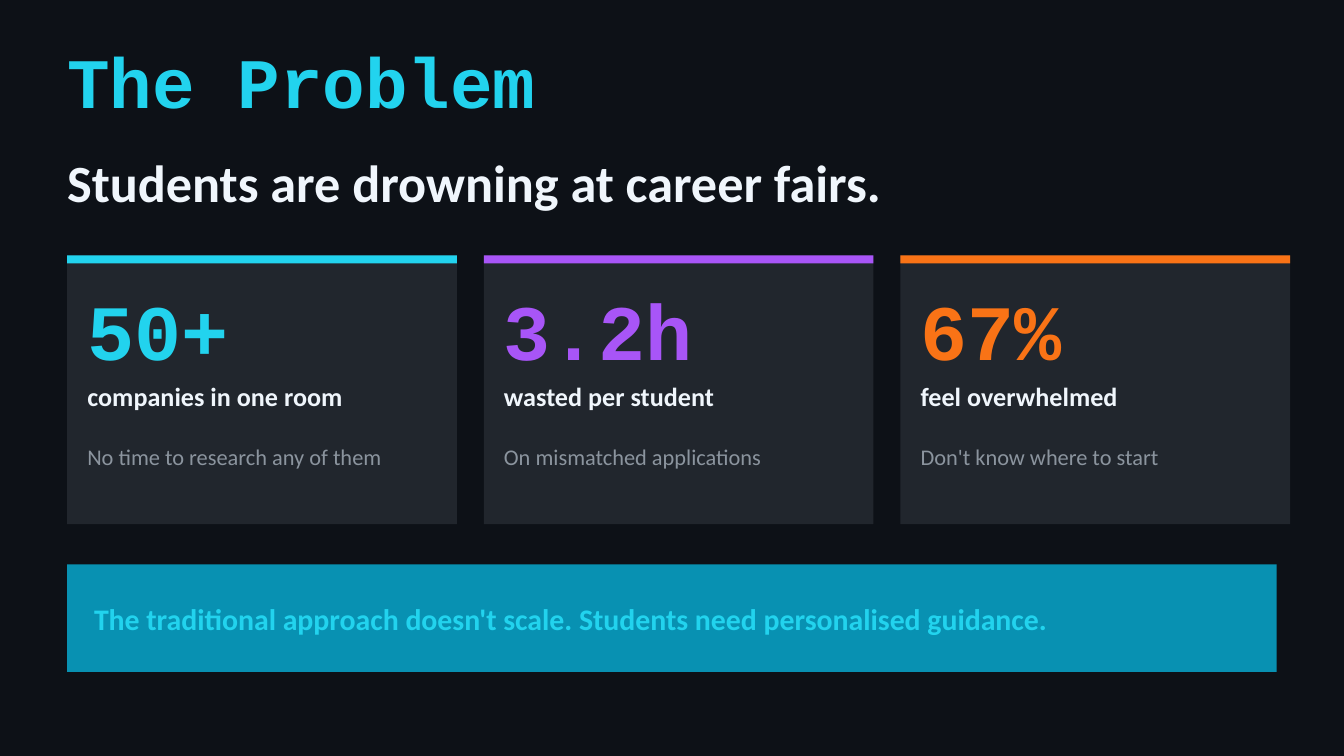
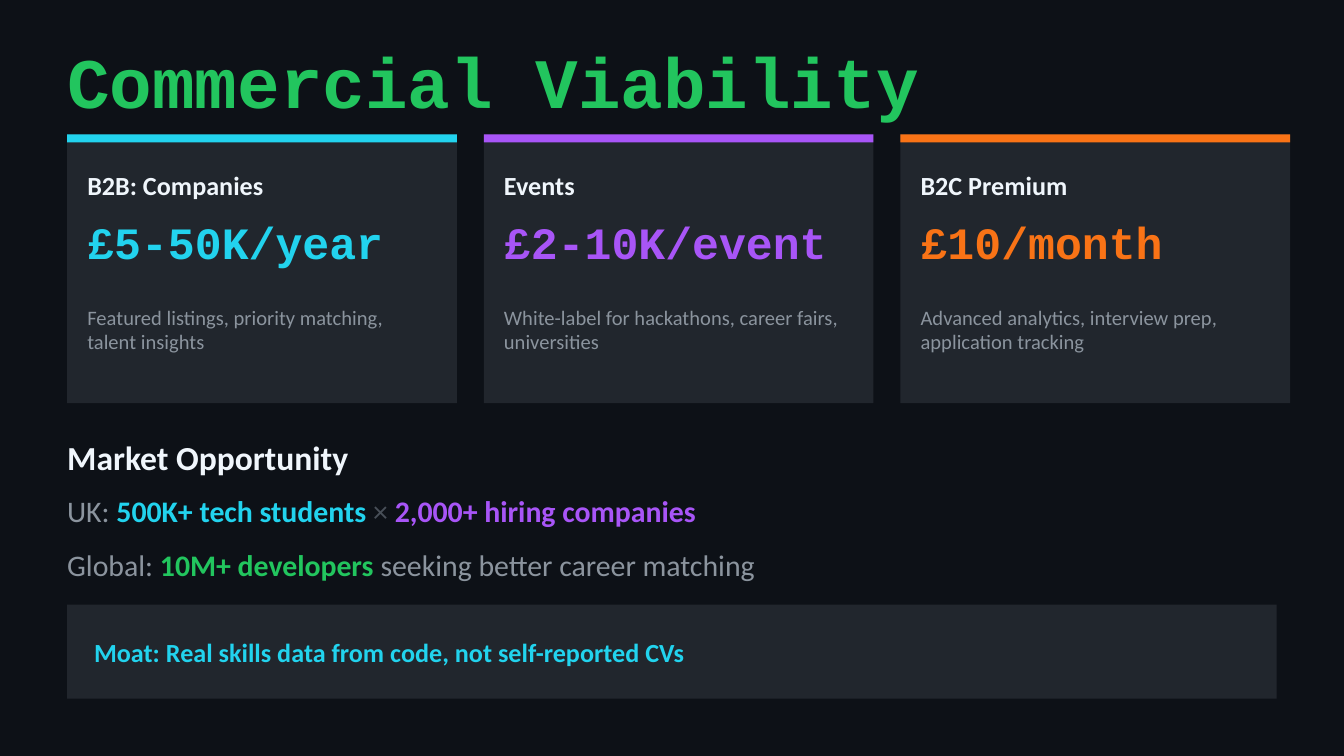
from pptx import Presentation
from pptx.dml.color import RGBColor
from pptx.enum import shapes, text
from pptx.util import Pt

# Shared look
BG, PANEL, TEAL = "0D1117", "21262D", "0891B2"
WHITE, GREY, DIM = "F0F6FC", "8B949E", "484F58"
CYAN, PURPLE, ORANGE, GREEN = "22D3EE", "A855F7", "F97316", "22C55E"
SANS, MONO = "Calibri", "Courier New"

# Shared grid, in points
LEFT, WIDTH = 36, 648
CARD_W, CARD_H, CARD_STEP = 208.8, 144, 223.2
CARD_PAD, STRIPE_H = 10.8, 4.32
BANNER_PAD, BANNER_TEXT_H = 14.4, 36


def rgb(color):
    return RGBColor.from_string(color)


def add_slide(prs):
    s = prs.slides.add_slide(prs.slide_layouts[6])
    s.background.fill.solid()
    s.background.fill.fore_color.rgb = rgb(BG)
    return s


def add_rect(s, x, y, w, h, color):
    sp = s.shapes.add_shape(shapes.MSO_SHAPE.RECTANGLE, Pt(x), Pt(y), Pt(w), Pt(h))
    sp.shadow.inherit = False
    sp.fill.solid()
    sp.fill.fore_color.rgb = rgb(color)
    sp.line.fill.background()


def add_run(p, words, size, color=WHITE, bold=False, font=SANS):
    r = p.add_run()
    r.text = words
    r.font.size = Pt(size)
    r.font.name = font
    r.font.bold = bold
    r.font.color.rgb = rgb(color)


def add_text(s, content, x, y, w, h, **fmt):
    """Content is a string, or a list of (words, format overrides)."""
    tf = s.shapes.add_textbox(Pt(x), Pt(y), Pt(w), Pt(h)).text_frame
    tf.word_wrap = True
    tf.vertical_anchor = text.MSO_ANCHOR.MIDDLE
    tf.margin_left = tf.margin_right = tf.margin_top = tf.margin_bottom = 0
    runs = [(content, {})] if isinstance(content, str) else content
    for words, extra in runs:
        add_run(tf.paragraphs[0], words, **{**fmt, **extra})


def add_title(s, words, color):
    add_text(s, words, LEFT, 21.6, WIDTH, 43.2, size=38, color=color, bold=True, font=MONO)


def add_cards(s, top, rows, cards):
    """Each row is (offset from card top, height, format); colour None means accent."""
    for i, (accent, lines) in enumerate(zip((CYAN, PURPLE, ORANGE), cards)):
        x = LEFT + i * CARD_STEP
        add_rect(s, x, top, CARD_W, CARD_H, PANEL)
        add_rect(s, x, top, CARD_W, STRIPE_H, accent)
        for line, (offset, height, fmt) in zip(lines, rows):
            add_text(s, line, x + CARD_PAD, top + offset, CARD_W - 2 * CARD_PAD, height,
                     **{**fmt, "color": fmt["color"] or accent})


def add_banner(s, words, top, height, fill, size):
    add_rect(s, LEFT, top, WIDTH, height, fill)
    add_text(s, words, LEFT + BANNER_PAD, top + (height - BANNER_TEXT_H) / 2,
             WIDTH - 2 * BANNER_PAD, BANNER_TEXT_H, size=size, color=CYAN, bold=True)


def figure(size):
    return dict(size=size, color=None, bold=True, font=MONO)


def main():
    prs = Presentation()
    prs.slide_width, prs.slide_height = Pt(720), Pt(405)
    label = dict(size=14, color=WHITE, bold=True)

    # The Problem
    s = add_slide(prs)
    add_title(s, "The Problem", CYAN)
    add_text(s, "Students are drowning at career fairs.", LEFT, 72, WIDTH, 50.4,
             size=28, bold=True)
    add_cards(s, 136.8, [
        (14.4, 50.4, figure(42)),
        (61.2, 28.8, label),
        (90, 36, dict(size=12, color=GREY)),
    ], [
        ("50+", "companies in one room", "No time to research any of them"),
        ("3.2h", "wasted per student", "On mismatched applications"),
        ("67%", "feel overwhelmed", "Don't know where to start"),
    ])
    add_banner(s, "The traditional approach doesn't scale. "
                  "Students need personalised guidance.", 302.4, 57.6, TEAL, 16)

    # Commercial Viability
    s = add_slide(prs)
    add_title(s, "Commercial Viability", GREEN)
    add_cards(s, 72, [
        (14.4, 25.2, label),
        (39.6, 36, figure(24)),
        (79.2, 50.4, dict(size=11, color=GREY)),
    ], [
        ("B2B: Companies", "£5-50K/year",
         "Featured listings, priority matching, talent insights"),
        ("Events", "£2-10K/event",
         "White-label for hackathons, career fairs, universities"),
        ("B2C Premium", "£10/month",
         "Advanced analytics, interview prep, application tracking"),
    ])

    # Market size lines
    market = [
        [("Market Opportunity", dict(size=18, color=WHITE, bold=True))],
        [("UK: ", {}),
         ("500K+ tech students", dict(color=CYAN, bold=True)),
         (" × ", dict(color=DIM)),
         ("2,000+ hiring companies", dict(color=PURPLE, bold=True))],
        [("Global: ", {}),
         ("10M+ developers", dict(color=GREEN, bold=True)),
         (" seeking better career matching", {})],
    ]
    for i, runs in enumerate(market):
        add_text(s, runs, LEFT, 230.4 + i * 28.8, WIDTH, 28.8, size=16, color=GREY)
    add_banner(s, "Moat: Real skills data from code, not self-reported CVs",
               324, 50.4, PANEL, 14)

    prs.save("out.pptx")


if __name__ == "__main__":
    main()
